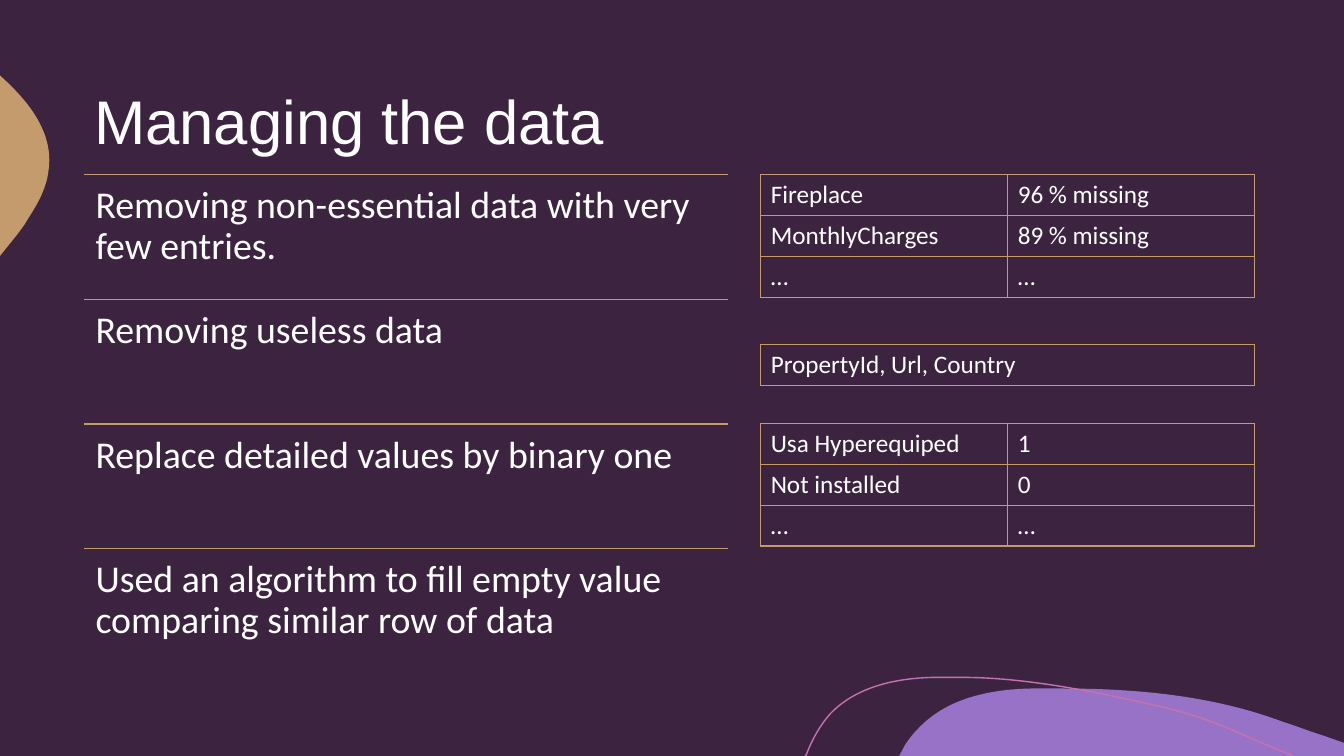
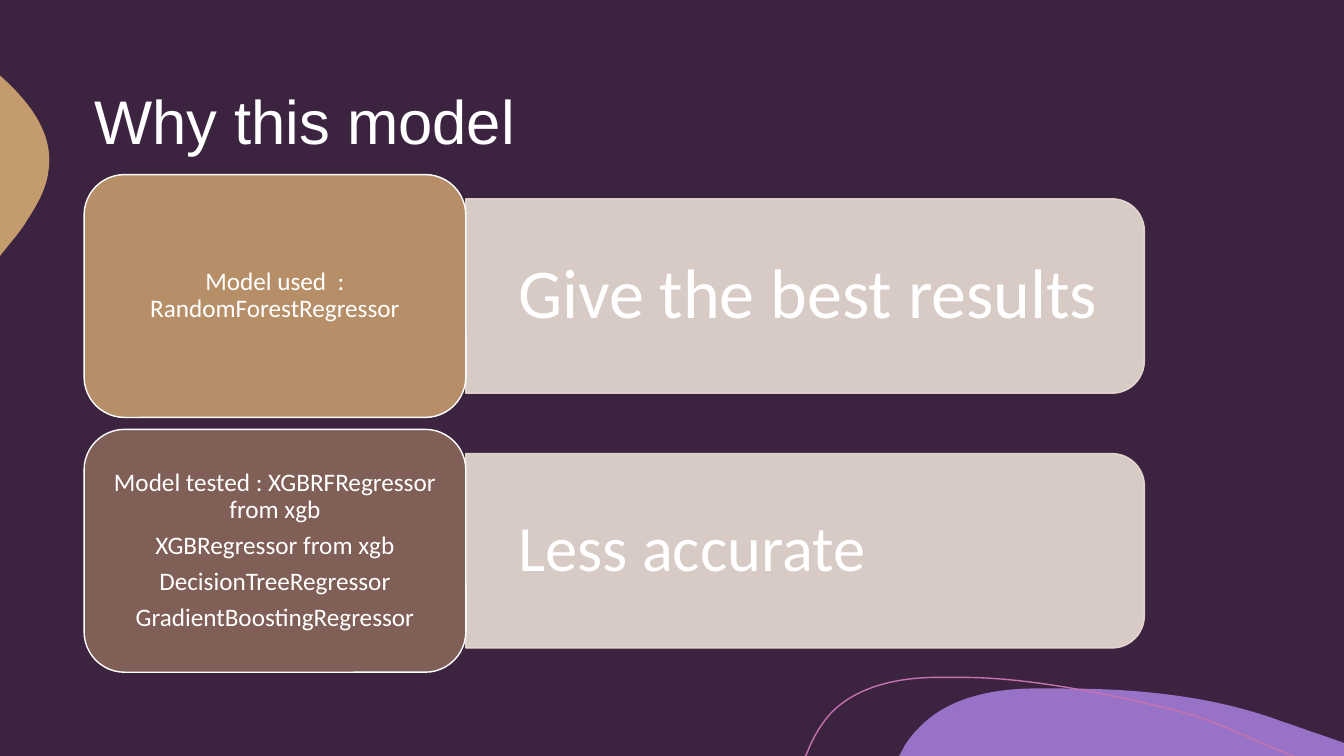
from dataclasses import dataclass

from lxml.etree import Element, SubElement
from pptx import Presentation
from pptx.dml.color import RGBColor
from pptx.enum.shapes import MSO_CONNECTOR, MSO_SHAPE
from pptx.enum.text import MSO_ANCHOR as Anchor, MSO_AUTO_SIZE, PP_ALIGN as Align
from pptx.oxml.ns import qn
from pptx.shapes.autoshape import Shape
from pptx.slide import Slide
from pptx.text.text import TextFrame
from pptx.util import Cm, Pt

COLORS = {
    "background": "3C2441",
    "text": "FFFFFF",
    "gold": "C49B6D",
    "purple": "9772C6",
    "pink": "C672B0",
    "sand": "EADED4",
}
TITLE_FONT, BODY_FONT = "Arial", "Calibri"
TITLE_ONLY = 5
SLIDE_W, SLIDE_H = 33.87, 19.05
LEFT, TOP = 2.12, 4.4
FIRST_DECORATION_ID = 20

Point = tuple[float, float]


@dataclass(frozen=True)
class Outline:
    """Path in cm: a segment of one point is a line, of three a Bezier curve."""
    start: Point
    segments: list[tuple[Point, ...]]
    fill: str | None = None
    line: str | None = None


@dataclass(frozen=True)
class DataTable:
    top: float
    rows: list[tuple[str, ...]]


@dataclass(frozen=True)
class ModelRow:
    models: list[str]
    verdict: str
    verdict_size: int
    opacity: int


DECORATION = [
    Outline((26.77, 17.35), [
        ((28.65, 17.35), (30.58, 17.53), (32.33, 18.19)),
        ((32.66, 18.29), (32.97, 18.42), (33.3, 18.52)),
        ((SLIDE_W, 18.72),), ((SLIDE_W, SLIDE_H),), ((22.66, SLIDE_H),), ((22.81, 18.77),),
        ((22.91, 18.62), (23.01, 18.49), (23.14, 18.36)),
        ((23.85, 17.6), (24.94, 17.37), (25.98, 17.35)),
        ((26.24, 17.35), (26.49, 17.35), (26.77, 17.35)),
    ], fill="purple"),
    Outline((0, 1.9), [
        ((0.03, 1.93),),
        ((0.76, 2.59), (1.37, 3.38), (1.22, 4.32)),
        ((1.17, 4.75), (0.94, 5.16), (0.69, 5.54)),
        ((0.61, 5.69), (0.43, 5.92), (0.2, 6.2)),
        ((0, 6.45),),
    ], fill="gold"),
    Outline((20.29, SLIDE_H), [
        ((20.32, 19.02),),
        ((20.47, 18.62), (20.68, 18.26), (20.93, 17.98)),
        ((21.59, 17.3), (22.58, 17.09), (23.52, 17.07)),
        ((24.26, 17.07),),
        ((25.96, 17.07), (27.94, 17.5), (29.34, 17.83)),
        ((30.71, 18.16), (31.14, 18.47), (32.59, SLIDE_H)),
    ], line="pink"),
]

STEPS = [
    "Removing non-essential data with very few entries.",
    "Removing useless data",
    "Replace detailed values by binary one",
    "Used an algorithm to fill empty value comparing similar row of data",
]
STEP_W, STEP_H = 16.22, 3.14

TABLES = [
    DataTable(TOP, [("Fireplace", "96 % missing"), ("MonthlyCharges", "89 % missing"), ("…", "…")]),
    DataTable(10.67, [("Usa Hyperequiped", "1"), ("Not installed", "0"), ("…", "…")]),
    DataTable(8.69, [("PropertyId, Url, Country",)]),
]
TABLE_LEFT, TABLE_W, TABLE_ROW_H = 19.17, 12.45, 1.03

MODEL_ROWS = [
    ModelRow(["Model used  : RandomForestRegressor"], "Give the best results", 50, 90),
    ModelRow(["Model tested : XGBRFRegressor from xgb", "XGBRegressor from xgb",
              "DecisionTreeRegressor", "GradientBoostingRegressor"], "Less accurate", 46, 50),
]
CARD_W, CARD_H, CARD_PITCH = 9.62, 6.12, 6.42
BAR_W, BAR_H = 17.1, 4.9


def rgb(name: str) -> RGBColor:
    return RGBColor.from_string(COLORS[name])


def paint(shape: Shape, fill: str | None, line: str | None, opacity: int = 100) -> None:
    """Set fill and 1 pt line; opacity applies wherever the fill colour is used."""
    shape.shadow.inherit = False
    if fill:
        shape.fill.solid()
        shape.fill.fore_color.rgb = rgb(fill)
    else:
        shape.fill.background()
    if line:
        shape.line.color.rgb = rgb(line)
        shape.line.width = Pt(1)
    else:
        shape.line.fill.background()
    if fill and opacity < 100:
        for color in shape.element.spPr.iter(qn("a:srgbClr")):
            if color.get("val") == COLORS[fill]:
                SubElement(color, qn("a:alpha"), val=str(opacity * 1000))


def draw_outline(slide: Slide, outline: Outline) -> Shape:
    """Build the freeform through the segment ends, then bend its curved segments."""
    builder = slide.shapes.build_freeform(*map(Cm, outline.start))
    ends = [(Cm(x), Cm(y)) for x, y in (segment[-1] for segment in outline.segments)]
    builder.add_line_segments(ends, close=outline.fill is not None)
    shape = builder.convert_to_shape()
    straight_parts = list(shape.element.spPr.iter(qn("a:lnTo")))
    for part, segment in zip(straight_parts, outline.segments):
        if len(segment) == 3:
            curve = Element(qn("a:cubicBezTo"))
            for x, y in segment:
                SubElement(curve, qn("a:pt"), x=str(Cm(x) - shape.left), y=str(Cm(y) - shape.top))
            part.getparent().replace(part, curve)
    paint(shape, outline.fill, outline.line)
    return shape


def decorate_layout(slide: Slide) -> None:
    """Move the decoration to the layout, as only a slide can build freeforms."""
    layout_tree = slide.slide_layout.shapes.element
    for i, outline in enumerate(DECORATION):
        element = draw_outline(slide, outline).element
        element.nvSpPr.cNvPr.id = FIRST_DECORATION_ID + i
        layout_tree.insert(2 + i, element)


def write(frame: TextFrame, lines: list[str], size: int, font: str = BODY_FONT,
          align: Align = Align.LEFT, anchor: Anchor = Anchor.MIDDLE, gap: float = 0) -> None:
    frame.word_wrap = True
    frame.auto_size = MSO_AUTO_SIZE.NONE
    frame.vertical_anchor = anchor
    for i, line in enumerate(lines):
        paragraph = frame.add_paragraph() if i else frame.paragraphs[0]
        paragraph.alignment = align
        paragraph.line_spacing = 0.9
        paragraph.space_after = Pt(gap)
        add_run(paragraph, line, size, font)


def add_run(paragraph, text: str, size: int, font: str = BODY_FONT) -> None:
    run = paragraph.add_run()
    run.text = text
    run.font.size = Pt(size)
    run.font.name = font
    run.font.color.rgb = rgb("text")


def set_insets(frame: TextFrame, left: float, top: float, right: float) -> None:
    frame.margin_left, frame.margin_right = Cm(left), Cm(right)
    frame.margin_top = frame.margin_bottom = Cm(top)


def add_titled_slide(deck: Presentation, heading: str) -> Slide:
    slide = deck.slides.add_slide(deck.slide_layouts[TITLE_ONLY])
    title = slide.shapes.title
    title.left, title.top, title.width, title.height = Cm(LEFT), Cm(2.12), Cm(29.64), Cm(2.06)
    write(title.text_frame, [heading], 44, TITLE_FONT)
    return slide


def draw_step(slide: Slide, top: float, text: str) -> None:
    rule = slide.shapes.add_connector(
        MSO_CONNECTOR.STRAIGHT, Cm(LEFT), Cm(top), Cm(LEFT + STEP_W), Cm(top))
    rule.line.color.rgb = rgb("gold")
    rule.line.width = Pt(1)
    SubElement(rule.element.spPr, qn("a:effectLst"))
    frame = slide.shapes.add_textbox(Cm(LEFT), Cm(top), Cm(STEP_W), Cm(STEP_H)).text_frame
    set_insets(frame, 0.29, 0.29, 0.29)
    write(frame, [text], 27, anchor=Anchor.TOP)


def draw_table(slide: Slide, data: DataTable) -> None:
    row_count, column_count = len(data.rows), len(data.rows[0])
    table = slide.shapes.add_table(
        row_count, column_count, Cm(TABLE_LEFT), Cm(data.top),
        Cm(TABLE_W), Cm(TABLE_ROW_H * row_count)).table
    table.first_row = table.horz_banding = False
    for r, texts in enumerate(data.rows):
        for c, text in enumerate(texts):
            cell = table.cell(r, c)
            properties = cell._tc.get_or_add_tcPr()
            for side in ("a:lnL", "a:lnR", "a:lnT", "a:lnB"):
                border = SubElement(properties, qn(side), w=str(Pt(1)))
                SubElement(SubElement(border, qn("a:solidFill")), qn("a:srgbClr"), val=COLORS["gold"])
            cell.fill.background()
            add_run(cell.text_frame.paragraphs[0], text, 18)


def draw_model_row(slide: Slide, top: float, row: ModelRow) -> None:
    bar_left, bar_top = LEFT + CARD_W, top + (CARD_H - BAR_H) / 2
    # The bar is an upright shape turned on its side, so its rounded top faces right.
    turn = (BAR_W - BAR_H) / 2
    bar = slide.shapes.add_shape(
        MSO_SHAPE.ROUND_2_SAME_RECTANGLE, Cm(bar_left + turn), Cm(bar_top - turn), Cm(BAR_H), Cm(BAR_W))
    bar.rotation = 90
    paint(bar, "sand", "sand", 90)

    verdict = slide.shapes.add_textbox(Cm(bar_left), Cm(bar_top), Cm(BAR_W), Cm(BAR_H)).text_frame
    set_insets(verdict, 1.32, 0.25, 0.53)
    write(verdict, [row.verdict], row.verdict_size)

    card = slide.shapes.add_shape(
        MSO_SHAPE.ROUNDED_RECTANGLE, Cm(LEFT), Cm(top), Cm(CARD_W), Cm(CARD_H))
    paint(card, "gold", "text", row.opacity)
    set_insets(card.text_frame, 0.18, 0.1, 0.18)
    write(card.text_frame, row.models, 18, align=Align.CENTER, gap=6.3)


def main() -> None:
    deck = Presentation()
    deck.slide_width, deck.slide_height = Cm(SLIDE_W), Cm(SLIDE_H)
    backdrop = deck.slide_master.background.fill
    backdrop.solid()
    backdrop.fore_color.rgb = rgb("background")

    managing = add_titled_slide(deck, "Managing the data")
    decorate_layout(managing)
    for i, step in enumerate(STEPS):
        draw_step(managing, TOP + i * STEP_H, step)
    for data in TABLES:
        draw_table(managing, data)

    why_model = add_titled_slide(deck, "Why this model")
    for i, row in enumerate(MODEL_ROWS):
        draw_model_row(why_model, TOP + i * CARD_PITCH, row)

    deck.save("out.pptx")


if __name__ == "__main__":
    main()
